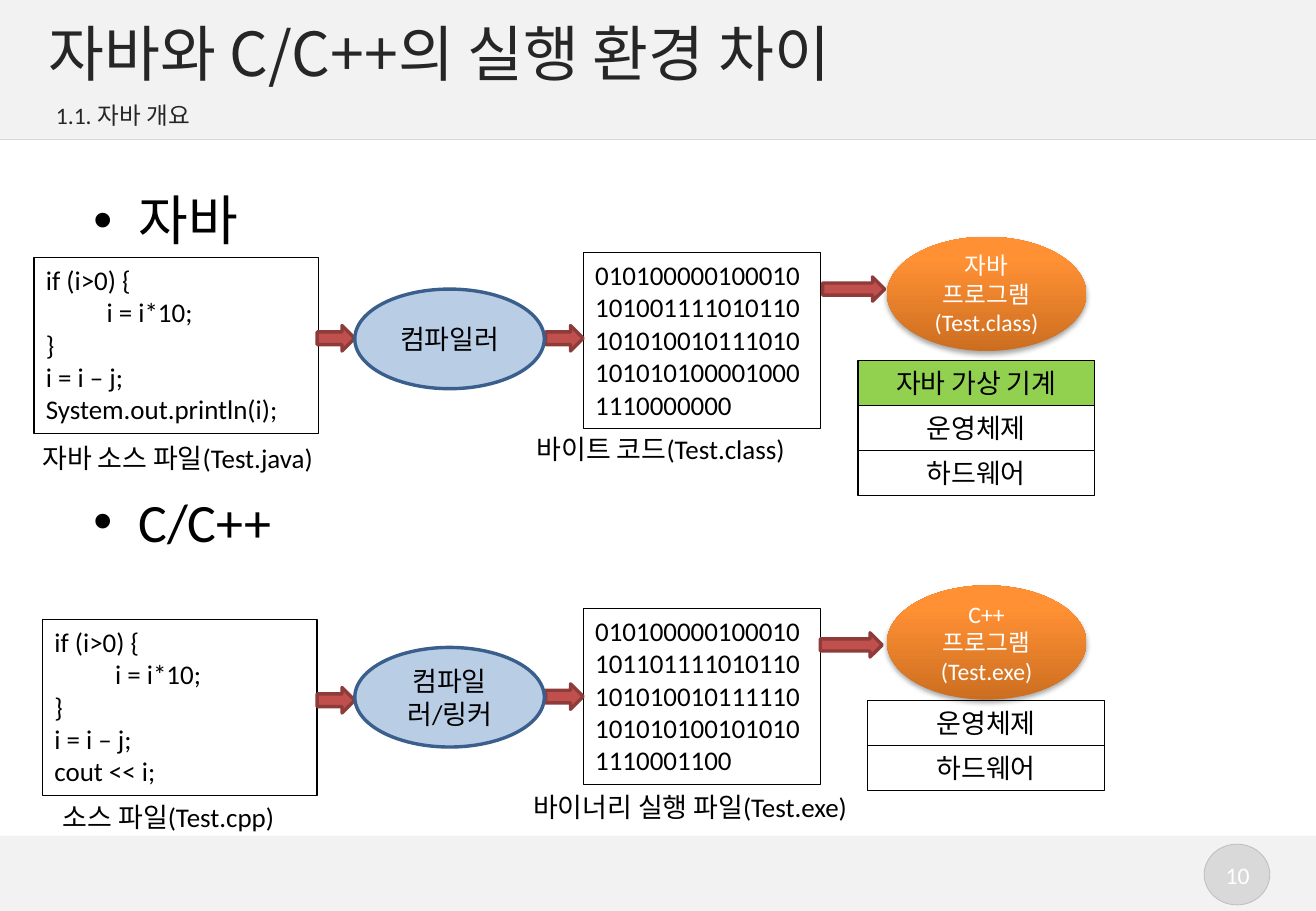
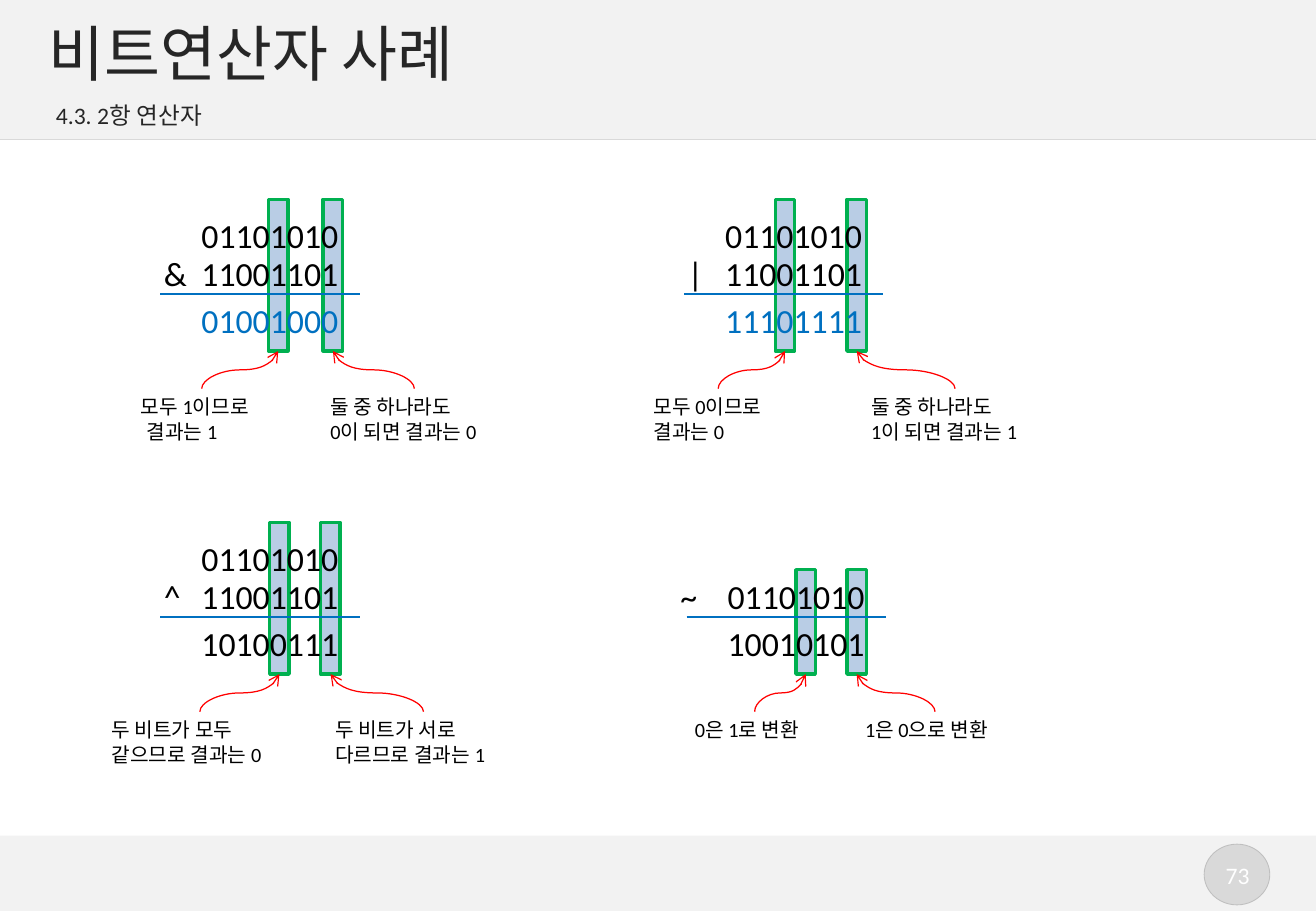
"""Builds two Java lecture slides: execution environments and bitwise operators."""
import copy

import lxml.etree
import pptx
import pptx.dml.color
import pptx.enum.shapes
import pptx.enum.text
import pptx.oxml.ns
import pptx.util

Inches = pptx.util.Inches
Pt = pptx.util.Pt
SHAPE = pptx.enum.shapes.MSO_SHAPE
CONNECTOR = pptx.enum.shapes.MSO_CONNECTOR
ALIGN = pptx.enum.text.PP_ALIGN
ANCHOR = pptx.enum.text.MSO_ANCHOR
RGB = pptx.dml.color.RGBColor.from_string
qn = pptx.oxml.ns.qn

COLORS = {
    "band": "F2F2F2", "divider": "D9D9D9", "badge_edge": "BFBFBF",
    "heading": "262626", "text": "000000", "white": "FFFFFF",
    "arrow": "C0504D", "arrow_edge": "8E3B39",
    "blue": "B9CDE5", "blue_edge": "3A5F8C",
    "program_dark": "CC6E20", "program_mid": "FF9034", "program_light": "FF9136",
    "machine": "92D050", "bit_edge": "00B050", "result": "0070C0", "pointer": "FF0000",
}
BODY_FONT = "Calibri"
TITLE_FONT = "Noto Sans CJK KR"
WIDTH, HEIGHT = 10.83, 7.5


def add_part(slide, kind, box, lines=(), size=16, color="text", fill=None, edge=None,
             weight=0.75, align=ALIGN.LEFT, anchor=ANCHOR.TOP, font=BODY_FONT,
             insets=(0.1, 0.05, 0.1, 0.05), bullet=None):
    box = [Inches(length) for length in box]
    if kind is None:
        part = slide.shapes.add_textbox(*box)
    else:
        part = slide.shapes.add_shape(kind, *box)
        part.shadow.inherit = False
        if fill:
            part.fill.solid()
            part.fill.fore_color.rgb = RGB(COLORS[fill])
        else:
            part.fill.background()
        if edge:
            part.line.color.rgb = RGB(COLORS[edge])
            part.line.width = Pt(weight)
        else:
            part.line.fill.background()
    frame = part.text_frame
    frame.word_wrap = True
    frame.vertical_anchor = anchor
    (frame.margin_left, frame.margin_top,
     frame.margin_right, frame.margin_bottom) = [Inches(inset) for inset in insets]
    for number, line in enumerate(lines):
        indent, words = line if isinstance(line, tuple) else (0, line)
        paragraph = frame.add_paragraph() if number else frame.paragraphs[0]
        paragraph.alignment = align
        properties = paragraph._p.get_or_add_pPr()
        if indent:
            properties.set("marL", str(Inches(indent)))
        if bullet:
            properties.set("indent", str(-Inches(indent)))
            lxml.etree.SubElement(properties, qn("a:buFont"), typeface="Arial")
            lxml.etree.SubElement(properties, qn("a:buChar"), char=bullet)
        run = paragraph.add_run()
        run.text = words
        run.font.size = Pt(size)
        run.font.name = font
        run.font.color.rgb = RGB(COLORS[color])
        lxml.etree.SubElement(run._r.get_or_add_rPr(), qn("a:ea"), typeface=font)
    return part


def add_line(slide, kind, begin, end, color):
    line = slide.shapes.add_connector(kind, *[Inches(length) for length in (*begin, *end)])
    line.line.color.rgb = RGB(COLORS[color])
    line.line.width = Pt(0.75)
    lxml.etree.SubElement(line._element.spPr, qn("a:effectLst"))
    return line


deck = pptx.Presentation()
deck.slide_width, deck.slide_height = Inches(WIDTH), Inches(HEIGHT)

slides = []
for title, section, page in [
    ("자바와 C/C++의 실행 환경 차이", "1.1. 자바 개요", "10"),
    ("비트연산자 사례", "4.3. 2항 연산자", "73"),
]:
    slide = deck.slides.add_slide(deck.slide_layouts[6])
    add_part(slide, SHAPE.RECTANGLE, (0, 6.88, WIDTH, 0.62), fill="band")
    add_part(slide, SHAPE.OVAL, (9.91, 6.95, 0.54, 0.5), fill="divider",
             edge="badge_edge", weight=0.5)
    add_part(slide, None, (9.97, 7.04, 0.43, 0.34), [page], 14, "white", align=ALIGN.CENTER)
    add_part(slide, SHAPE.RECTANGLE, (0, 0, WIDTH, 1.15), fill="band")
    add_line(slide, CONNECTOR.STRAIGHT, (0, 1.15), (WIDTH, 1.15), "divider")
    add_part(slide, None, (0.4, 0.13, 10.05, 0.6), [title], 36, "heading",
             anchor=ANCHOR.MIDDLE, font=TITLE_FONT, insets=(0, 0, 0, 0))
    add_part(slide, None, (0.38, 0.78, 10.07, 0.34), [section], 14, "heading",
             insets=(0.08, 0.05, 0.1, 0.05))
    slides.append(slide)
environments, operators = slides

flows = [
    dict(
        heading="자바", heading_top=1.49,
        code=["if (i>0) {", (0.5, "i = i*10;"), "}", "i = i – j;", "System.out.println(i);"],
        code_box=(0.28, 2.12, 2.34, 1.45),
        code_caption="자바 소스 파일(Test.java)", code_caption_box=(0.25, 3.59, 2.68, 0.37),
        compiler="컴파일러", compiler_top=2.38,
        binary="0101000001000101010011110101101010100101110101010101000010001110000000",
        binary_top=2.08,
        binary_caption="바이트 코드(Test.class)", binary_caption_box=(4.32, 3.51, 2.75, 0.37),
        arrows=[(2.61, 2.68, 0.31, 0.21), (4.49, 2.68, 0.31, 0.21), (6.77, 2.28, 0.51, 0.2)],
        program="자바 프로그램(Test.class)", program_top=1.95,
        layers=[("자바 가상 기계", "machine"), ("운영체제", None), ("하드웨어", None)],
        layers_at=(7.06, 2.97),
    ),
    dict(
        heading="C/C++", heading_top=3.97,
        code=["if (i>0) {", (0.5, "i = i*10;"), "}", "i = i – j;", "cout << i;"],
        code_box=(0.35, 5.1, 2.26, 1.45),
        code_caption="소스 파일(Test.cpp)", code_caption_box=(0.42, 6.54, 2.13, 0.37),
        compiler="컴파일러/링커", compiler_top=5.33,
        binary="0101000001000101011011110101101010100101111101010101001010101110001100",
        binary_top=5.01,
        binary_caption="바이너리 실행 파일(Test.exe)",
        binary_caption_box=(4.29, 6.46, 3.07, 0.37),
        arrows=[(2.61, 5.66, 0.31, 0.21), (4.49, 5.63, 0.31, 0.21), (6.75, 5.21, 0.51, 0.2)],
        program="C++ 프로그램(Test.exe)", program_top=4.82,
        layers=[("운영체제", None), ("하드웨어", None)],
        layers_at=(7.14, 5.77),
    ),
]
for flow in flows:
    add_part(environments, None, (0.67, flow["heading_top"], 8.92, 0.7),
             [(0.37, flow["heading"])], 32, bullet="•")
    add_part(environments, SHAPE.RECTANGLE, flow["code_box"], flow["code"], edge="text")
    add_part(environments, SHAPE.RECTANGLE, (4.8, flow["binary_top"], 1.95, 1.45),
             [flow["binary"]], edge="text")
    for name in ("code_caption", "binary_caption"):
        add_part(environments, None, flow[name + "_box"], [flow[name]])
    for arrow_box in flow["arrows"]:
        add_part(environments, SHAPE.RIGHT_ARROW, arrow_box, fill="arrow",
                 edge="arrow_edge", weight=2)
    add_part(environments, SHAPE.OVAL, (2.92, flow["compiler_top"], 1.56, 0.82),
             [flow["compiler"]], fill="blue", edge="blue_edge", weight=2,
             align=ALIGN.CENTER, anchor=ANCHOR.MIDDLE)
    layer_left, layer_top = flow["layers_at"]
    for level, (layer, layer_fill) in enumerate(flow["layers"]):
        add_part(environments, SHAPE.RECTANGLE,
                 (layer_left, layer_top + 0.37 * level, 1.95, 0.37), [layer],
                 fill=layer_fill, edge="text", align=ALIGN.CENTER)

    program = add_part(environments, SHAPE.OVAL, (7.3, flow["program_top"], 1.64, 0.94),
                       [flow["program"]], 14, "white",
                       align=ALIGN.CENTER, anchor=ANCHOR.MIDDLE)
    program.fill.gradient()
    program.fill.gradient_angle = 90
    stop_list = program._element.spPr.find(qn("a:gradFill")).find(qn("a:gsLst"))
    stop_list.append(copy.deepcopy(stop_list[-1]))
    for stop, position, shade in zip(program.fill.gradient_stops, (0, 0.8, 1),
                                     ("program_dark", "program_mid", "program_light")):
        stop.position = position
        stop.color.rgb = RGB(COLORS[shade])
    shadow = lxml.etree.SubElement(
        program._element.spPr.find(qn("a:effectLst")), qn("a:outerShdw"),
        blurRad=str(Pt(3.1)), dist=str(Pt(1.8)), dir="5400000", rotWithShape="0")
    shadow_color = lxml.etree.SubElement(shadow, qn("a:srgbClr"), val=COLORS["text"])
    lxml.etree.SubElement(shadow_color, qn("a:alpha"), val="35000")

examples = [
    dict(sign="&", sign_box=(1.25, 0.39), left=1.56, rule=2.42,
         operands=["01101010", "11001101"], result="01001000", result_color="result",
         notes=[(2.21, 1.06, 1.2, ["모두 1이므로", (0.05, "결과는 1")]),
                (2.66, 2.62, 1.58, ["둘 중 하나라도", "0이 되면 결과는 0"])]),
    dict(sign="|", sign_box=(5.56, 0.35), left=5.87, rule=2.42,
         operands=["01101010", "11001101"], result="11101111", result_color="result",
         notes=[(6.38, 5.28, 1.26, ["모두 0이므로", "결과는 0"]),
                (6.97, 7.07, 1.58, ["둘 중 하나라도", "1이 되면 결과는 1"])]),
    dict(sign="^", sign_box=(1.25, 0.33), left=1.56, rule=5.08,
         operands=["01101010", "11001101"], result="10100111", result_color="text",
         notes=[(2.22, 0.82, 1.65, ["두 비트가 모두", "같으므로 결과는 0"]),
                (2.64, 2.66, 1.65, ["두 비트가 서로", "다르므로 결과는 1"])]),
    dict(sign="~", sign_box=(5.5, 0.39), left=5.89, rule=5.08,
         operands=["01101010"], result="10010101", result_color="text",
         notes=[(6.55, 5.62, 1.18, ["0은 1로 변환"]),
                (6.97, 7.02, 1.35, ["1은 0으로 변환"])]),
]
for example in examples:
    left, rule = example["left"], example["rule"]
    bit_bottom, note_top = rule + 0.47, rule + 0.78
    bit_height = 0.47 + 0.39 * len(example["operands"])
    for bit_left, note_left, note_width, note in example["notes"]:
        add_part(operators, SHAPE.RECTANGLE,
                 (bit_left, bit_bottom - bit_height, 0.16, bit_height),
                 fill="blue", edge="bit_edge", weight=2)
        add_part(operators, None, (note_left, note_top, note_width, 0.5), note, 12)

        start, target = note_left + note_width / 2, bit_left + 0.08
        turn = 1 if start < target else -1
        middle_x, middle_y = (start + target) / 2, (note_top + bit_bottom) / 2
        half_rise, half_run = (note_top - bit_bottom) / 2, abs(target - start) / 2
        pointer = add_line(operators, CONNECTOR.CURVE,
                           (middle_x + turn * half_rise, middle_y + half_run),
                           (middle_x - turn * half_rise, middle_y - half_run), "pointer")
        pointer._element.spPr.find(qn("a:xfrm")).set("rot", str(turn * 5400000 % 21600000))
        lxml.etree.SubElement(pointer.line._get_or_add_ln(), qn("a:tailEnd"), type="arrow")

    for row, operand in enumerate(reversed(example["operands"])):
        add_part(operators, None, (left, rule - 0.39 - 0.31 * row, 1.44, 0.44), [operand], 20)
    sign_left, sign_width = example["sign_box"]
    add_part(operators, None, (sign_left, rule - 0.39, sign_width, 0.44), [example["sign"]], 20)
    add_line(operators, CONNECTOR.STRAIGHT, (left - 0.24, rule), (left + 1.4, rule), "result")
    add_part(operators, None, (left, rule, 1.44, 0.44), [example["result"]], 20,
             example["result_color"])

deck.save("out.pptx")
